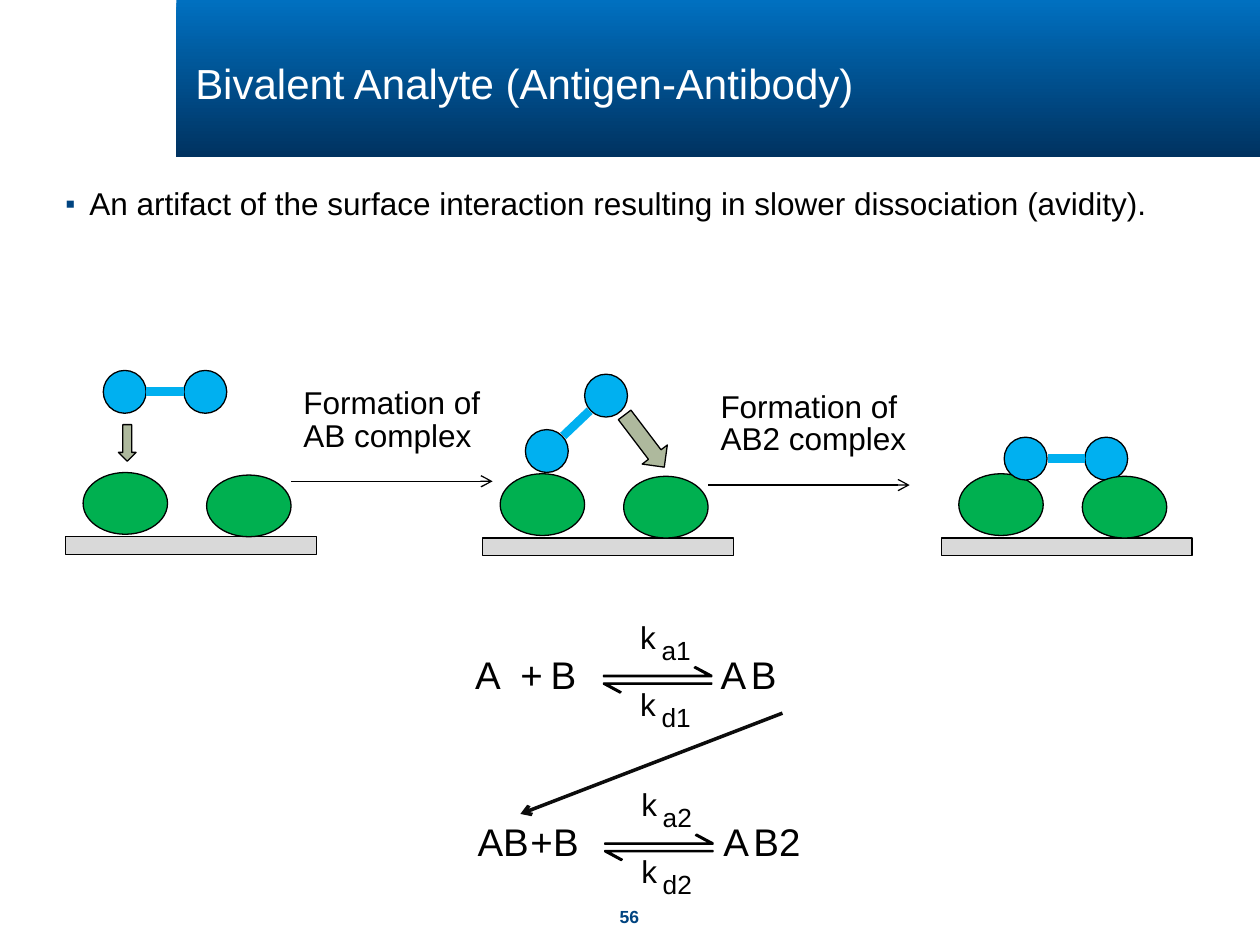
from lxml.etree import SubElement
from pptx import Presentation
from pptx.dml.color import RGBColor
from pptx.enum.shapes import MSO_CONNECTOR, MSO_SHAPE
from pptx.enum.text import MSO_ANCHOR, MSO_AUTO_SIZE, PP_ALIGN
from pptx.oxml.ns import qn
from pptx.util import Inches, Pt

C = {"black": "000000", "white": "FFFFFF", "navy": "004480", "band_top": "0070C0",
     "band_end": "003260", "antigen": "00B050", "antibody": "00B0F0",
     "surface": "D9D9D9", "arrow": "AEB99D", "step": "0C0C0C"}

TITLE = "Bivalent Analyte (Antigen-Antibody)"
BULLET = "An artifact of the surface interaction resulting in slower dissociation (avidity)."
PAGE = "56"

# Panel: left and top of the first antigen, antibody ends, block arrow (x, y, w, h, turn)
PANELS = [
    {"at": (0.66, 3.75), "ends": [(0.82, 2.94), (1.46, 2.94)],
     "link": (1.16, 3.11, 1.46, 3.11), "arrow": (0.94, 3.37, 0.14, 0.29, 0)},
    {"at": (3.97, 3.76), "ends": [(4.17, 3.41), (4.64, 2.97)],
     "link": (4.47, 3.46, 4.68, 3.26), "arrow": (4.99, 3.24, 0.25, 0.52, 322.8)},
    {"at": (7.61, 3.76), "ends": [(7.97, 3.47), (8.61, 3.47)],
     "link": (8.32, 3.64, 8.61, 3.64), "arrow": None},
]
STEPS = [(2.31, 3.04, "Formation of AB complex"), (5.62, 3.07, "Formation of AB2 complex")]

# Equation: shift from the first one, then left edge and text of each term
EQUATIONS = [
    {"shift": (0, 0), "n": "1",
     "terms": [(3.77, "A"), (4.13, "+"), (4.37, "B"), (5.72, "A"), (5.96, "B")]},
    {"shift": (0.01, 1.33), "n": "2",
     "terms": [(3.79, "AB"), (4.21, "+"), (4.39, "B"), (5.74, "A"), (5.98, "B2")]},
]
RATES = [("a", 4.95), ("d", 5.48)]
HARPOON = [(4.79, 5.36), (4.79, 5.37), (5.65, 5.37), (5.65, 5.36),
           (5.52, 5.29), (5.51, 5.3), (5.62, 5.36)]
HARPOON_MID = (5.22, 5.395)

prs = Presentation()
prs.slide_width, prs.slide_height = Inches(10), Inches(7.5)
s = prs.slides.add_slide(prs.slide_layouts[6])


def rgb(name):
    return RGBColor.from_string(C[name])


def text(x, y, w, h, words, size, color="black", bold=False, inset=(0, 0),
         wrap=True, grow=False, spacing=0.85):
    tf = s.shapes.add_textbox(Inches(x), Inches(y), Inches(w), Inches(h)).text_frame
    tf.margin_left = tf.margin_right = Inches(inset[0])
    tf.margin_top = tf.margin_bottom = Inches(inset[1])
    tf.word_wrap = wrap
    tf.auto_size = MSO_AUTO_SIZE.SHAPE_TO_FIT_TEXT if grow else MSO_AUTO_SIZE.NONE
    p = tf.paragraphs[0]
    p.line_spacing = spacing
    r = p.add_run()
    r.text = words
    r.font.size, r.font.name, r.font.bold = Pt(size), "Arial", bold
    r.font.color.rgb = rgb(color)
    return tf


def shape(kind, x, y, w, h, fill, turn=0):
    sp = s.shapes.add_shape(kind, Inches(x), Inches(y), Inches(w), Inches(h))
    sp.shadow.inherit = False
    sp.fill.solid()
    sp.fill.fore_color.rgb = rgb(fill)
    sp.line.color.rgb = rgb("black")
    sp.line.width = Pt(0.75)
    sp.rotation = turn
    return sp


def line(x1, y1, x2, y2, color, width, arrow=False):
    cn = s.shapes.add_connector(MSO_CONNECTOR.STRAIGHT, Inches(x1), Inches(y1),
                                Inches(x2), Inches(y2))
    cn.line.color.rgb = rgb(color)
    cn.line.width = Pt(width)
    if arrow:
        SubElement(cn.line._get_or_add_ln(), qn("a:tailEnd"), type="arrow")
    SubElement(cn._element.spPr, qn("a:effectLst"))


def harpoon(points):
    points = [(Inches(x), Inches(y)) for x, y in points]
    fb = s.shapes.build_freeform(*points[0], scale=1.0)
    fb.add_line_segments(points[1:], close=True)
    sp = fb.convert_to_shape()
    sp.shadow.inherit = False
    sp.fill.solid()
    sp.fill.fore_color.rgb = rgb("black")
    sp.line.color.rgb = rgb("black")
    sp.line.width = Pt(0)


# Page number, title band and title
text(4.75, 7.19, 0.49, 0.17, PAGE, 10, "navy", True,
     spacing=1.0).paragraphs[0].alignment = PP_ALIGN.CENTER
band = shape(MSO_SHAPE.RECTANGLE, 1.4, 0, 8.61, 1.25, "band_top")
band.line.fill.background()
band.fill.gradient()
band.fill.gradient_angle = 270
for stop, name in zip(band.fill.gradient_stops, ("band_top", "band_end")):
    stop.color.rgb = rgb(name)
text(1.55, 0.22, 8.16, 0.93, TITLE, 24, "white").vertical_anchor = MSO_ANCHOR.MIDDLE

# Bullet
pPr = text(0.52, 1.51, 9.17, 0.5, BULLET, 18).paragraphs[0]._p.get_or_add_pPr()
pPr.set("marL", str(Inches(0.19)))
pPr.set("indent", str(-Inches(0.19)))
SubElement(SubElement(pPr, qn("a:buClr")), qn("a:srgbClr"), val=C["navy"])
SubElement(pPr, qn("a:buSzPct"), val="90000")
SubElement(pPr, qn("a:buFont"), typeface="Arial")
SubElement(pPr, qn("a:buChar"), char="▪")

# Rate equations
for eq in EQUATIONS:
    dx, dy = eq["shift"]
    for x, term in eq["terms"]:
        text(x, 5.22 + dy, 0.22 * len(term), 0.37, term, 22, wrap=False)
    for kind, y in RATES:
        text(5.08 + dx, y + dy, 0.29, 0.35, "k", 18, wrap=False)
        text(5.25 + dx, y + 0.12 + dy, 0.28, 0.25, kind + eq["n"], 15, wrap=False)
    forward = [(x + dx, y + dy) for x, y in HARPOON]
    mx, my = HARPOON_MID[0] + dx, HARPOON_MID[1] + dy
    harpoon(forward)
    harpoon([(2 * mx - x, 2 * my - y) for x, y in forward])
line(6.21, 5.66, 4.13, 6.46, "step", 2, arrow=True)

# Binding panels
for panel in PANELS:
    x, y = panel["at"]
    shape(MSO_SHAPE.OVAL, x, y, 0.67, 0.49, "antigen")
    shape(MSO_SHAPE.RECTANGLE, x - 0.14, y + 0.51, 1.99, 0.14, "surface")
    if panel["arrow"]:
        ax, ay, w, h, turn = panel["arrow"]
        shape(MSO_SHAPE.DOWN_ARROW, ax, ay, w, h, "arrow", turn)
    for ex, ey in panel["ends"]:
        shape(MSO_SHAPE.OVAL, ex, ey, 0.34, 0.34, "antibody")
    line(*panel["link"], "antibody", 5)
    shape(MSO_SHAPE.OVAL, x + 0.98, y + 0.02, 0.67, 0.49, "antigen")

# Steps between panels
for x, y, label in STEPS:
    line(x, y + 0.78, x + 1.6, y + 0.78, "black", 0.75, arrow=True)
    text(x, y, 1.71, 0.71, label, 18, inset=(0.1, 0.05), grow=True)

prs.save("out.pptx")
